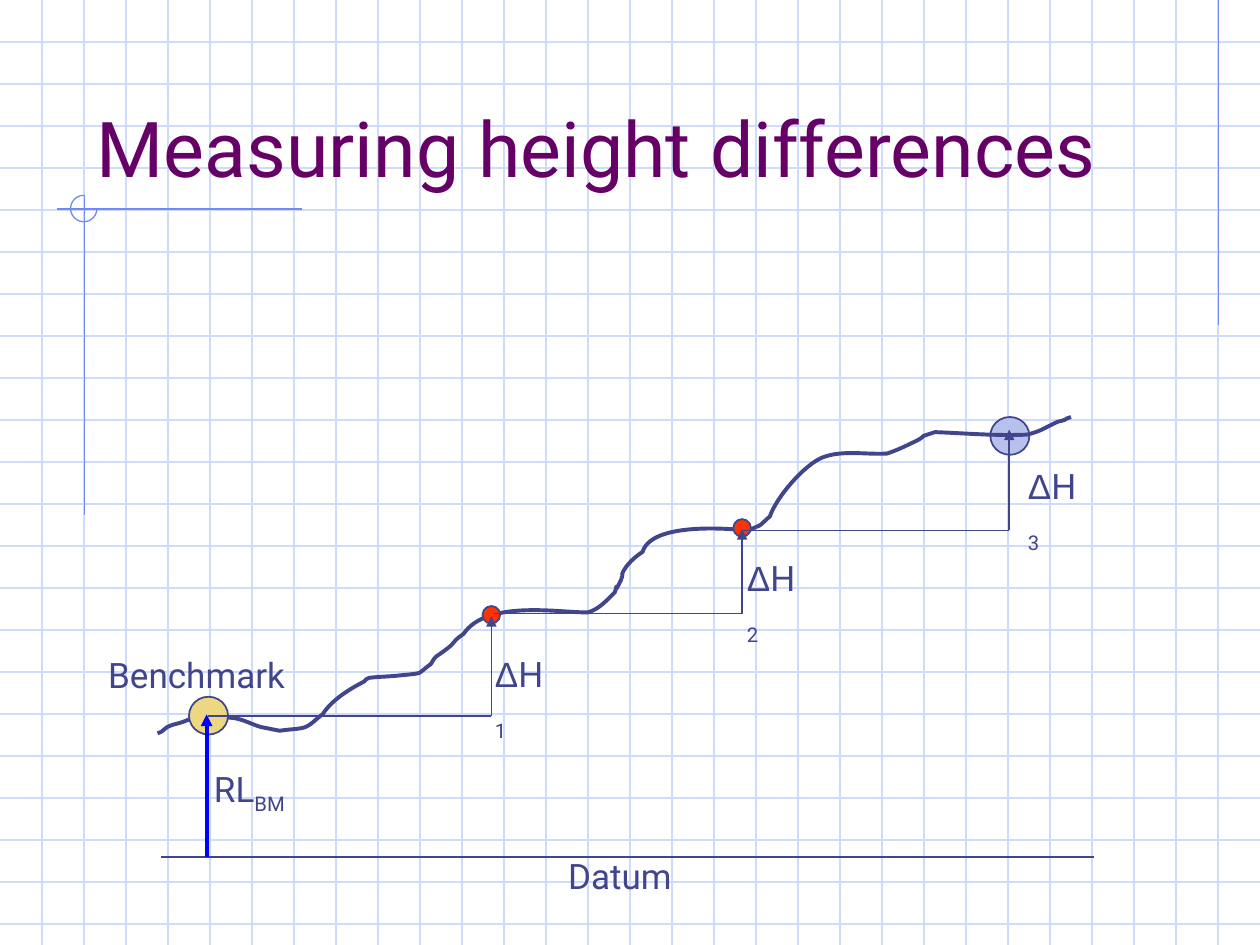
from dataclasses import dataclass

from lxml.etree import SubElement
from pptx import Presentation
from pptx.dml.color import RGBColor
from pptx.enum.shapes import MSO_CONNECTOR, MSO_SHAPE
from pptx.enum.text import MSO_ANCHOR
from pptx.oxml.ns import qn
from pptx.util import Inches, Pt


@dataclass(frozen=True)
class Theme:
    """Colours, fonts, type sizes and line widths of the slide."""
    grid: str = "CFDBFD"
    accent: str = "6F89F7"
    title: str = "660066"
    ink: str = "40458C"
    level: str = "0000FF"
    benchmark: str = "ECD882"
    target: str = "B7C1EB"
    station: str = "FF3300"
    font: str = "Roboto"
    symbol_font: str = "Arial"
    title_size: float = 44
    label_size: float = 20
    hairline: float = 0.75
    thin: float = 1
    thick: float = 2.25


THEME = Theme()
WIDTH, HEIGHT = 10, 7.5
GRID_STEP = 1 / 3
TERRAIN_START = (1.25, 5.82)
TERRAIN_CURVES = [
    (1.32, 5.8, 1.28, 5.78, 1.38, 5.75), (1.42, 5.74, 1.46, 5.73, 1.5, 5.71),
    (1.54, 5.7, 1.61, 5.68, 1.61, 5.68), (1.69, 5.69, 1.78, 5.69, 1.86, 5.7),
    (1.93, 5.71, 2, 5.75, 2.07, 5.77), (2.17, 5.79, 2.12, 5.78, 2.22, 5.8),
    (2.28, 5.79, 2.33, 5.79, 2.39, 5.78), (2.46, 5.77, 2.5, 5.71, 2.56, 5.67),
    (2.63, 5.56, 2.77, 5.47, 2.89, 5.41), (2.9, 5.4, 2.91, 5.38, 2.93, 5.38),
    (3.01, 5.37, 3.1, 5.37, 3.18, 5.36), (3.18, 5.36, 3.31, 5.35, 3.33, 5.34),
    (3.36, 5.32, 3.39, 5.29, 3.42, 5.27), (3.47, 5.19, 3.43, 5.24, 3.56, 5.14),
    (3.59, 5.12, 3.61, 5.08, 3.64, 5.06), (3.65, 5.05, 3.67, 5.04, 3.68, 5.03),
    (3.87, 4.75, 4.48, 4.87, 4.67, 4.86), (4.76, 4.83, 4.81, 4.77, 4.88, 4.7),
    (4.92, 4.57, 4.85, 4.77, 4.93, 4.6), (4.94, 4.58, 4.94, 4.56, 4.94, 4.55),
    (4.97, 4.48, 5.04, 4.42, 5.1, 4.38), (5.18, 4.12, 5.9, 4.21, 5.94, 4.21),
    (5.94, 4.21, 6.03, 4.17, 6.03, 4.17), (6.06, 4.15, 6.08, 4.12, 6.11, 4.1),
    (6.16, 3.95, 6.38, 3.69, 6.53, 3.63), (6.69, 3.57, 6.87, 3.61, 7.04, 3.6),
    (7.13, 3.57, 7.21, 3.53, 7.29, 3.49), (7.31, 3.48, 7.32, 3.47, 7.33, 3.46),
    (7.36, 3.45, 7.42, 3.43, 7.42, 3.43), (7.69, 3.44, 7.89, 3.46, 8.15, 3.45),
    (8.27, 3.42, 8.28, 3.4, 8.39, 3.35), (8.41, 3.34, 8.45, 3.34, 8.47, 3.32),
    (8.48, 3.32, 8.49, 3.31, 8.5, 3.31),
]


def style_line(line, color, width):
    """Give a line its colour and width in points."""
    line.color.rgb = RGBColor.from_string(color)
    line.width = Pt(width)


def add_line(slide, start, end, color=THEME.ink, width=THEME.thin, arrow=False):
    """Draw a straight line, with an arrowhead at its end if asked."""
    line = slide.shapes.add_connector(
        MSO_CONNECTOR.STRAIGHT, *(Inches(value) for value in (*start, *end)))
    style_line(line.line, color, width)
    properties = line.element.spPr
    if arrow:
        SubElement(properties.find(qn("a:ln")), qn("a:tailEnd"), type="triangle")
    SubElement(properties, qn("a:effectLst"))


def add_marker(slide, left, top, width, height, fill):
    """Draw a filled survey point."""
    marker = slide.shapes.add_shape(
        MSO_SHAPE.OVAL, *(Inches(value) for value in (left, top, width, height)))
    marker.shadow.inherit = False
    marker.fill.solid()
    marker.fill.fore_color.rgb = RGBColor.from_string(fill)
    style_line(marker.line, THEME.ink, THEME.thin)


def add_text(slide, left, top, width, height, text, size=THEME.label_size,
             color=THEME.ink, symbol="", subscript="", wrap=False):
    """Add a text box with an optional leading symbol and subscript."""
    box = slide.shapes.add_textbox(
        *(Inches(value) for value in (left, top, width, height)))
    box.text_frame.word_wrap = wrap
    para = box.text_frame.paragraphs[0]
    for part in filter(None, (symbol, text, subscript)):
        span = para.add_run()
        span.text = part
        if symbol:
            span.font.name = THEME.symbol_font if part == symbol else THEME.font
        if part == subscript:
            span.font._element.set("baseline", "-25000")
    para.font.size = Pt(size)
    para.font.color.rgb = RGBColor.from_string(color)
    if not symbol:
        para.font.name = THEME.font
    return box


def add_background(slide):
    """Draw the squared paper and its corner ornaments."""
    for row in range(1, int(HEIGHT / GRID_STEP) + 1):
        y = row * GRID_STEP
        add_line(slide, (0, y), (WIDTH, y), THEME.grid, THEME.hairline)
    for column in range(1, round(WIDTH / GRID_STEP)):
        x = column * GRID_STEP
        add_line(slide, (x, 0), (x, HEIGHT), THEME.grid, THEME.hairline)
    for start, end in (((9.67, 0), (9.67, 2.58)), ((2.4, 1.66), (0.45, 1.66)),
                       ((0.67, 1.55), (0.67, 4.09))):
        add_line(slide, start, end, THEME.accent, THEME.hairline)
    arc = slide.shapes.add_shape(
        MSO_SHAPE.ARC, Inches(0.56), Inches(1.55), Inches(0.21), Inches(0.21))
    arc.adjustments[0] = 0
    arc.adjustments[1] = 162
    arc.shadow.inherit = False
    arc.fill.background()
    style_line(arc.line, THEME.accent, THEME.hairline)


def add_terrain(slide):
    """Draw the ground profile as an open outline of cubic curves."""
    builder = slide.shapes.build_freeform(*(Inches(value) for value in TERRAIN_START))
    builder.add_line_segments(
        [(Inches(x), Inches(y)) for *_, x, y in TERRAIN_CURVES], close=False)
    terrain = builder.convert_to_shape()
    segments = list(terrain.element.iter(qn("a:lnTo")))
    for segment, curve in zip(segments, TERRAIN_CURVES):
        segment.tag = qn("a:cubicBezTo")
        segment.remove(segment[0])
        for x, y in zip(curve[::2], curve[1::2]):
            SubElement(segment, qn("a:pt"), x=str(Inches(x) - terrain.left),
                       y=str(Inches(y) - terrain.top))
    terrain.shadow.inherit = False
    terrain.fill.background()
    style_line(terrain.line, THEME.ink, THEME.thick)


def add_height_step(slide, number, left, right, base, top, label_left, label_top):
    """Draw one sight line, its height arrow and its label."""
    add_line(slide, (left, base), (right, base))
    add_line(slide, (right, base), (right, top), arrow=True)
    label = add_text(slide, label_left, label_top, 0.67, 0.48, "H",
                     symbol="Δ", subscript=str(number), wrap=True)
    label.text_frame.margin_right = Inches(0.13)


def main():
    """Build the slide and save it."""
    deck = Presentation()
    deck.slide_width, deck.slide_height = Inches(WIDTH), Inches(HEIGHT)
    slide = deck.slides.add_slide(deck.slide_layouts[6])
    add_background(slide)
    title = add_text(slide, 0.67, 0.33, 8.5, 1.25, "Measuring height differences",
                     THEME.title_size, THEME.title, wrap=True)
    title.text_frame.vertical_anchor = MSO_ANCHOR.BOTTOM

    add_marker(slide, 7.86, 3.31, 0.31, 0.3, THEME.target)
    add_terrain(slide)
    add_marker(slide, 1.5, 5.53, 0.31, 0.3, THEME.benchmark)
    add_line(slide, (1.28, 6.8), (8.68, 6.8))
    add_text(slide, 0.76, 5.14, 1.69, 0.44, "Benchmark")
    add_text(slide, 1.6, 6.04, 0.77, 0.48, "RL", subscript="BM")
    add_text(slide, 4.41, 6.73, 1.09, 0.44, "Datum")
    add_line(slide, (1.64, 6.8), (1.64, 5.67), THEME.level, THEME.thick, arrow=True)
    for left, top in ((3.83, 4.81), (5.82, 4.12)):
        add_marker(slide, left, top, 0.14, 0.14, THEME.station)
    steps = [(1.65, 3.9, 5.68, 4.89, 3.83, 5.13),
             (3.91, 5.89, 4.87, 4.2, 5.83, 4.37),
             (5.9, 8.01, 4.21, 3.41, 8.06, 3.64)]
    for number, step in enumerate(steps, start=1):
        add_height_step(slide, number, *step)
    deck.save("out.pptx")


if __name__ == "__main__":
    main()
